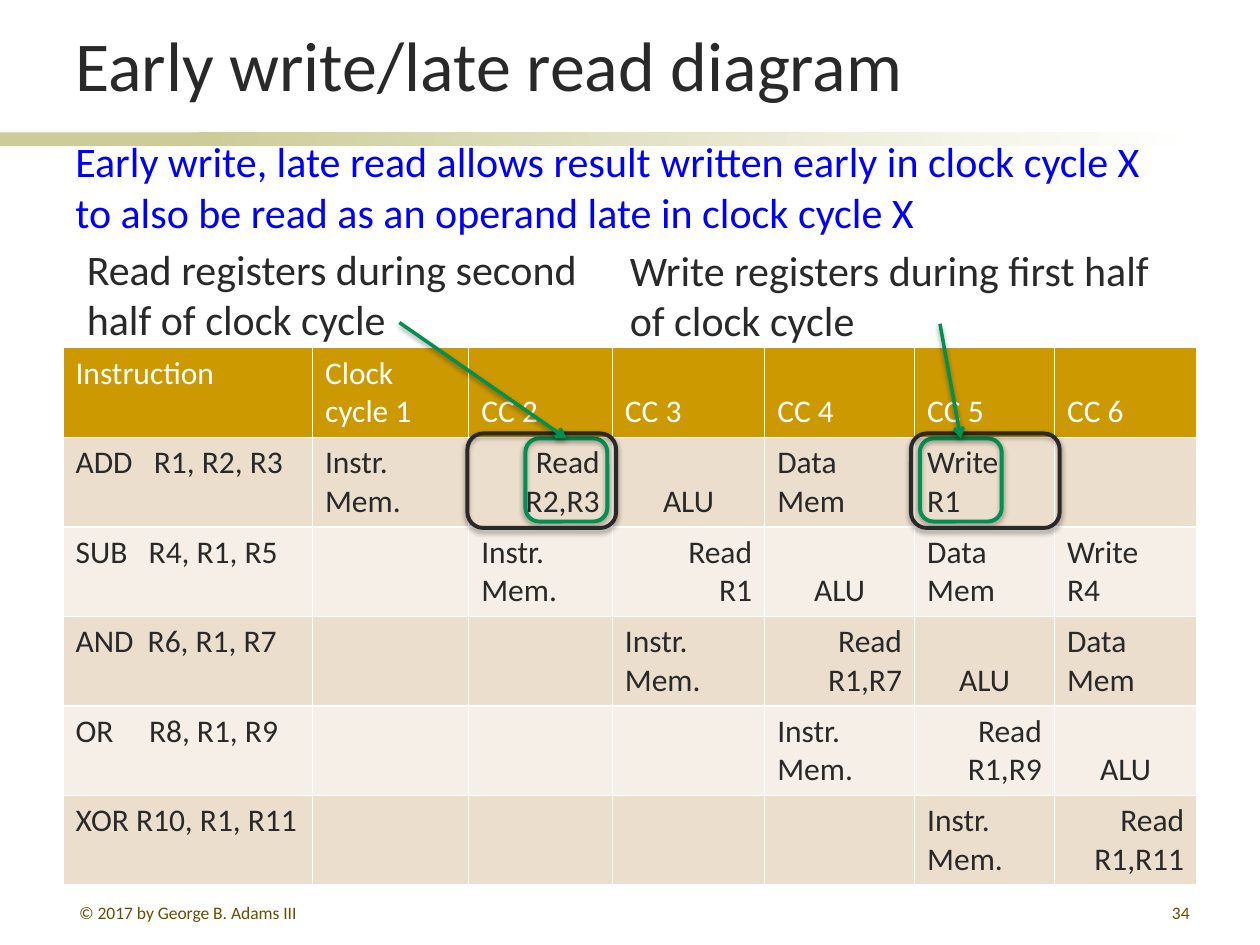
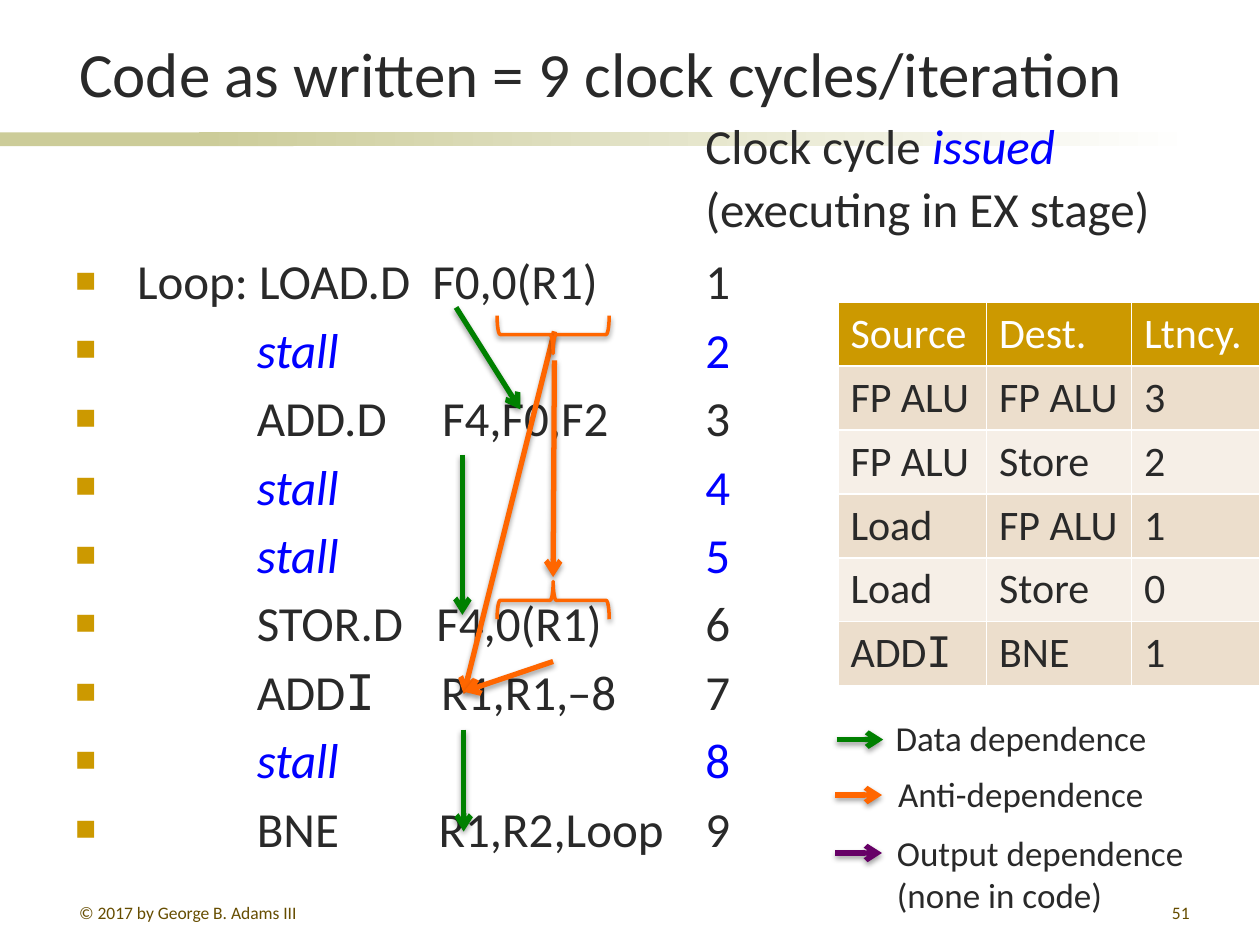
"""Build two slides on pipeline register timing and loop dependences."""
import lxml.etree
import pptx
import pptx.dml.color
import pptx.enum.shapes
import pptx.enum.text
import pptx.oxml.ns
import pptx.util

COLORS = {
    "ink": "292929", "blue": "0000FF", "gold": "CC9900", "band": "CCCC99",
    "white": "FFFFFF", "footer": "664D00", "odd": "ECDECC", "even": "F6EFE7",
    "box": "009051", "data": "008000", "anti": "FF6600", "output": "660066",
}
RGB = {name: pptx.dml.color.RGBColor.from_string(code) for name, code in COLORS.items()}
FONT = "Calibri"
MONO = "DejaVu Sans Mono"
SHAPE = pptx.enum.shapes.MSO_SHAPE
STRAIGHT = pptx.enum.shapes.MSO_CONNECTOR.STRAIGHT
ANCHOR = pptx.enum.text.MSO_ANCHOR
ALIGN = pptx.enum.text.PP_ALIGN
qn = pptx.oxml.ns.qn

deck = pptx.Presentation()
deck.slide_width = pptx.util.Inches(10)
deck.slide_height = pptx.util.Inches(7.5)
COLUMN = deck.slide_width / 100
ROW = deck.slide_height / 75


def write(frame, lines, size, color="ink", align=ALIGN.LEFT, gap=0, spacing=None, hangs=()):
    """Fill a text frame; a line is a string or (text, style) spans, hangs are bullet indents."""
    for number, line in enumerate(lines):
        para = frame.paragraphs[0] if number == 0 else frame.add_paragraph()
        if hangs:
            properties = para._p.get_or_add_pPr()
            properties.set("marL", str(int(hangs[number] * COLUMN)))
            properties.set("indent", str(int(-hangs[number] * COLUMN)))
            paint = lxml.etree.SubElement(properties, qn("a:buClr"))
            lxml.etree.SubElement(paint, qn("a:srgbClr"), val=COLORS["gold"])
            lxml.etree.SubElement(properties, qn("a:buSzPct"), val="45000")
            lxml.etree.SubElement(properties, qn("a:buFont"), typeface=FONT)
            lxml.etree.SubElement(properties, qn("a:buChar"), char="■")
        para.alignment = align
        if spacing:
            para.line_spacing = spacing
        if gap and number > 0:
            para.space_before = pptx.util.Pt(gap)
        para.font.name = FONT
        para.font.size = pptx.util.Pt(size)
        para.font.color.rgb = RGB[color]
        for text, style in [(line, "")] if isinstance(line, str) else line:
            span = para.add_run()
            span.text = text
            if style == "mono":
                span.font.name = MONO
            elif style:
                span.font.color.rgb = RGB["blue"]
                span.font.italic = style == "italic"


def outline(shape, color, width, arrow=False):
    """Give a shape or connector its line, arrowhead and soft shadow."""
    shape.line.color.rgb = RGB[color]
    shape.line.width = pptx.util.Pt(width)
    properties = shape._element.spPr
    if arrow:
        lxml.etree.SubElement(properties.find(qn("a:ln")), qn("a:tailEnd"), type="arrow")
    effects = lxml.etree.SubElement(properties, qn("a:effectLst"))
    shadow = lxml.etree.SubElement(
        effects, qn("a:outerShdw"), blurRad="40000", dist="20000", dir="5400000", rotWithShape="0")
    tone = lxml.etree.SubElement(shadow, qn("a:srgbClr"), val="000000")
    lxml.etree.SubElement(tone, qn("a:alpha"), val="38000")


ADDI = [("ADD", ""), ("I", "mono")]
pipeline = [
    ["Instruction", "Clock\ncycle 1", "CC 2", "CC 3", "CC 4", "CC 5", "CC 6"],
    ["ADD   R1, R2, R3", "Instr. Mem.", "Read R2,R3", "ALU", "Data Mem", "Write\nR1", ""],
    ["SUB   R4, R1, R5", "", "Instr. Mem.", "Read\nR1", "ALU", "Data Mem", "Write\nR4"],
    ["AND  R6, R1, R7", "", "", "Instr. Mem.", "Read R1,R7", "ALU", "Data Mem"],
    ["OR     R8, R1, R9", "", "", "", "Instr. Mem.", "Read R1,R9", "ALU"],
    ["XOR R10, R1, R11", "", "", "", "", "Instr. Mem.", "Read R1,R11"],
]
latencies = [
    ["Source", "Dest.", "Ltncy."],
    ["FP ALU", "FP ALU", "3"],
    ["FP ALU", "Store", "2"],
    ["Load", "FP ALU", "1"],
    ["Load", "Store", "0"],
    [ADDI, "BNE", "1"],
]
slides = [
    dict(title="Early write/late read diagram", title_size=40, title_at=(5, 0.1, 90, 8.8),
         number="34", cells=pipeline, table_at=(5, 27.6), row_height=7.11, cell_size=18,
         widths=[19.8, 12.4, 11.4, 12.1, 11.9, 11.1, 11.3]),
    dict(title="Code as written = 9 clock cycles/iteration", title_size=36,
         title_at=(5.3, 1.1, 90.1, 8.1), number="51", cells=latencies, table_at=(66.5, 24),
         row_height=5.07, cell_size=24, widths=[11.8, 11.5, 10.2]),
]

pages = []
for content in slides:
    page = deck.slides.add_slide(deck.slide_layouts[6])
    pages.append(page)
    for left, width in [(0, 23.3), (15.8, 79.2)]:
        band = page.shapes.add_shape(
            SHAPE.RECTANGLE, int(left * COLUMN), int(10.5 * ROW), int(width * COLUMN), int(1.1 * ROW))
        band.shadow.inherit = False
        band.line.fill.background()
        if left == 0:
            band.fill.solid()
            band.fill.fore_color.rgb = RGB["band"]
        else:
            band.fill.gradient()
            band.fill.gradient_angle = 0
            for stop, tone in zip(band.fill.gradient_stops, ["band", "white"]):
                stop.color.rgb = RGB[tone]

    for (left, top, width, height), text, size, color, align, anchor in [
        (content["title_at"], content["title"], content["title_size"], "ink", ALIGN.LEFT, ANCHOR.BOTTOM),
        ((5.3, 71.1, 21.7, 2.1), "© 2017 by George B. Adams III", 10, "footer", ALIGN.LEFT, ANCHOR.TOP),
        ((74.6, 71.1, 20.8, 2.1), content["number"], 10, "footer", ALIGN.RIGHT, ANCHOR.TOP),
    ]:
        box = page.shapes.add_textbox(
            int(left * COLUMN), int(top * ROW), int(width * COLUMN), int(height * ROW))
        box.text_frame.word_wrap = True
        box.text_frame.vertical_anchor = anchor
        write(box.text_frame, [text], size, color, align)

    cells, widths = content["cells"], content["widths"]
    left, top = content["table_at"]
    table = page.shapes.add_table(
        len(cells), len(widths), int(left * COLUMN), int(top * ROW), int(sum(widths) * COLUMN),
        int(len(cells) * content["row_height"] * ROW)).table
    table.horz_banding = False
    for column, width in zip(table.columns, widths):
        column.width = int(width * COLUMN)
    for row_number, values in enumerate(cells):
        table.rows[row_number].height = int(content["row_height"] * ROW)
        for column_number, value in enumerate(values):
            cell = table.cell(row_number, column_number)
            for side in "LRTB":
                border = lxml.etree.SubElement(
                    cell._tc.get_or_add_tcPr(), qn("a:ln" + side), w="12700")
                paint = lxml.etree.SubElement(border, qn("a:solidFill"))
                lxml.etree.SubElement(paint, qn("a:srgbClr"), val=COLORS["white"])
            cell.fill.solid()
            cell.fill.fore_color.rgb = RGB["gold" if row_number == 0 else "odd" if row_number % 2 else "even"]
            if cells is pipeline and column_number > 0:
                cell.vertical_anchor = ANCHOR.BOTTOM
            align = ALIGN.LEFT
            if value == "ALU":
                align = ALIGN.CENTER
            elif str(value).startswith("Read"):
                align = ALIGN.RIGHT
            lines = value.split("\n") if isinstance(value, str) else [value]
            if value:
                write(cell.text_frame, lines, content["cell_size"],
                      "white" if row_number == 0 else "ink", align)

timing, loop = pages

for left, top, width, text, color in [
    (5, 10.3, 90, "Early write, late read allows result written early in clock cycle X"
     " to also be read as an operand late in clock cycle X", "blue"),
    (5.9, 18.8, 42.5, "Read registers during second half of clock cycle", "ink"),
    (49, 18.9, 43.3, "Write registers during first half of clock cycle", "ink"),
]:
    box = timing.shapes.add_textbox(
        int(left * COLUMN), int(top * ROW), int(width * COLUMN), int(9.1 * ROW))
    box.text_frame.word_wrap = True
    write(box.text_frame, [text], 24, color)

for half_left, cycle_left, start_x, start_y in [(41.7, 37.1, 31.7, 25.6), (73, 72.3, 74.6, 25.7)]:
    frames = []
    for left, top, width, height, color in [
        (half_left, 34.8, 6.5, 6.6, "box"), (cycle_left, 34.4, 11.8, 7.5, "ink"),
    ]:
        frame = timing.shapes.add_shape(
            SHAPE.ROUNDED_RECTANGLE, int(left * COLUMN), int(top * ROW),
            int(width * COLUMN), int(height * ROW))
        frame.fill.background()
        outline(frame, color, 2.25)
        frames.append(frame)
    pointer = timing.shapes.add_connector(
        STRAIGHT, int(start_x * COLUMN), int(start_y * ROW), 0, 0)
    pointer.end_connect(frames[0], 0)
    outline(pointer, "box", 2, arrow=True)

listing = [
    "Loop: LOAD.D  F0,0(R1)", [("stall", "italic")], "ADD.D     F4,F0,F2",
    [("stall", "italic")], [("stall", "italic")], "STOR.D   F4,0(R1)",
    [*ADDI, ("      R1,R1,–8", "")], [("stall", "italic")], "BNE         R1,R2,Loop",
]
cycles = [
    str(cycle) if isinstance(code, str) or len(code) > 1 else [(str(cycle), "upright")]
    for cycle, code in enumerate(listing, 1)
]
hangs = [4.9] + [14.4] * (len(listing) - 1)
heading = [[("Clock cycle ", ""), ("issued", "italic")], "(executing in EX stage)"]
for left, top, width, height, lines, spacing, indents in [
    (55, 9.2, 40, 10.2, heading, 0.9, ()),
    (5, 19.4, 50, 49.5, listing, None, hangs),
    (55, 19.4, 6, 49.5, cycles, None, ()),
]:
    box = loop.shapes.add_textbox(
        int(left * COLUMN), int(top * ROW), int(width * COLUMN), int(height * ROW))
    box.text_frame.word_wrap = True
    write(box.text_frame, lines, 28, gap=5.5, spacing=spacing, hangs=indents)

for start_x, start_y, end_x, end_y, color in [
    (36.2, 24.4, 41.3, 32.5, "data"), (36.7, 36.1, 36.7, 48.8, "data"),
    (36.8, 57.9, 36.8, 66, "data"), (44, 26.3, 36.8, 55.1, "anti"),
    (43.9, 52.5, 36.8, 54.9, "anti"), (44, 28.6, 43.9, 45.8, "anti"),
    (66.4, 58.7, 70.1, 58.7, "data"), (66.3, 63.1, 70, 63.1, "anti"),
    (66.3, 67.7, 70, 67.7, "output"),
]:
    arrow = loop.shapes.add_connector(
        STRAIGHT, int(start_x * COLUMN), int(start_y * ROW), int(end_x * COLUMN), int(end_y * ROW))
    outline(arrow, color, 3, arrow=True)

for left, top, width, height, labels in [
    (70.1, 56.4, 22.1, 4.4, ["Data dependence"]),
    (70.3, 60.8, 21.7, 4.4, ["Anti-dependence"]),
    (70.2, 65.5, 25, 7.7, ["Output dependence", "(none in code)"]),
]:
    box = loop.shapes.add_textbox(
        int(left * COLUMN), int(top * ROW), int(width * COLUMN), int(height * ROW))
    box.text_frame.word_wrap = False
    write(box.text_frame, labels, 20)

for top, turn in [(22.1, 270), (43.2, 90)]:
    brace = loop.shapes.add_shape(
        SHAPE.LEFT_BRACE, int(42.4 * COLUMN), int(top * ROW), int(3 * COLUMN), int(8.9 * ROW))
    brace.rotation = turn
    brace.fill.background()
    outline(brace, "anti", 2)

deck.save("out.pptx")
